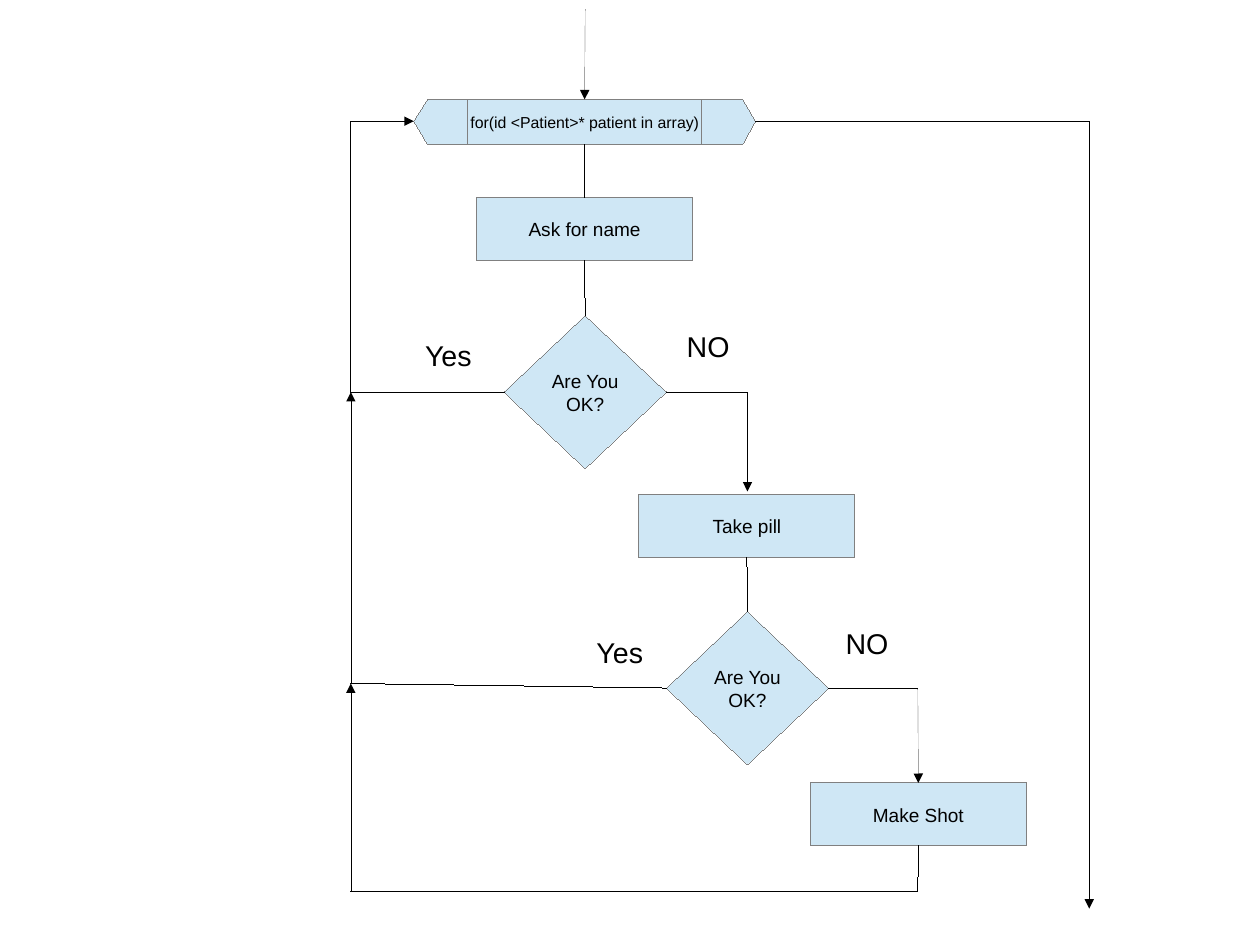
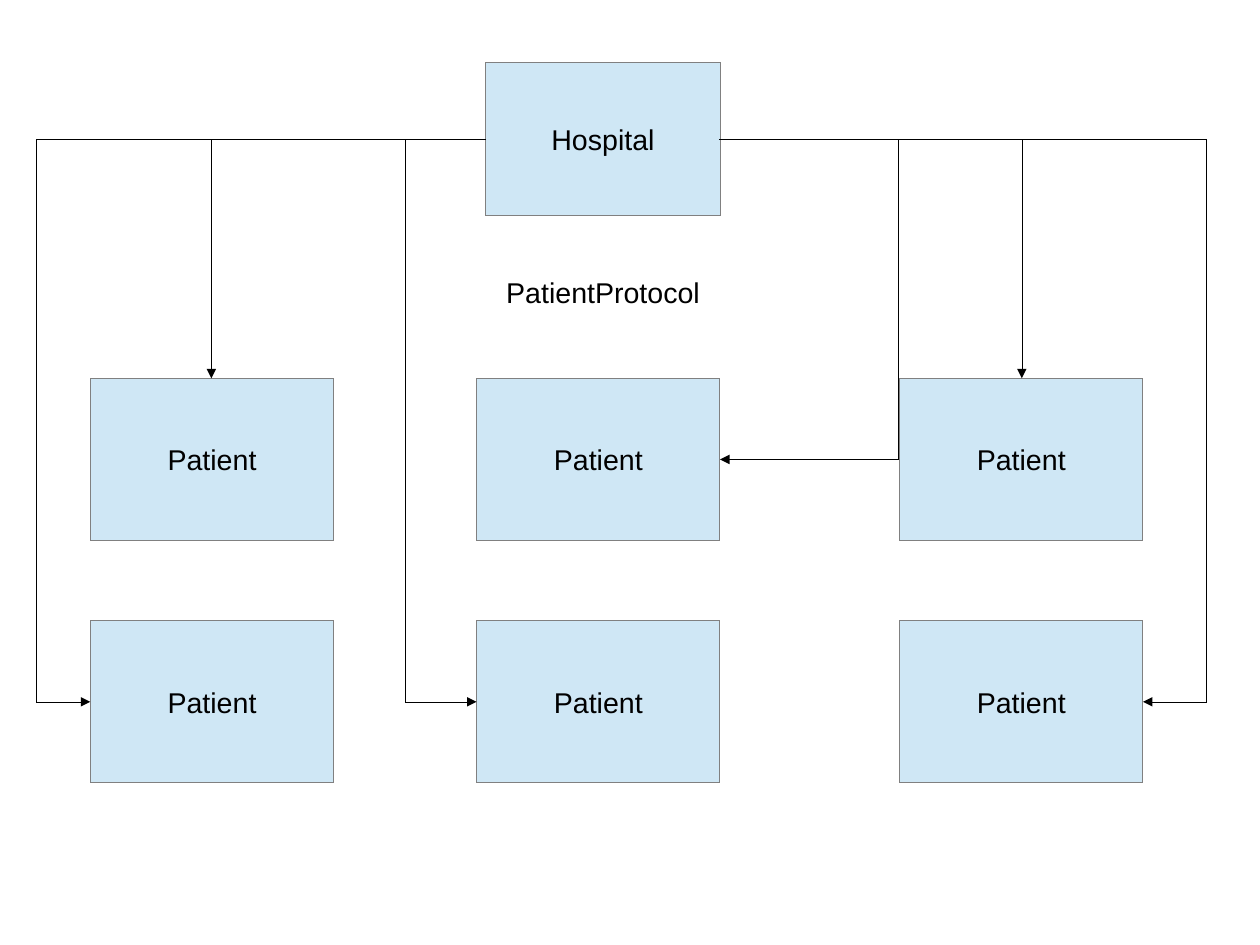
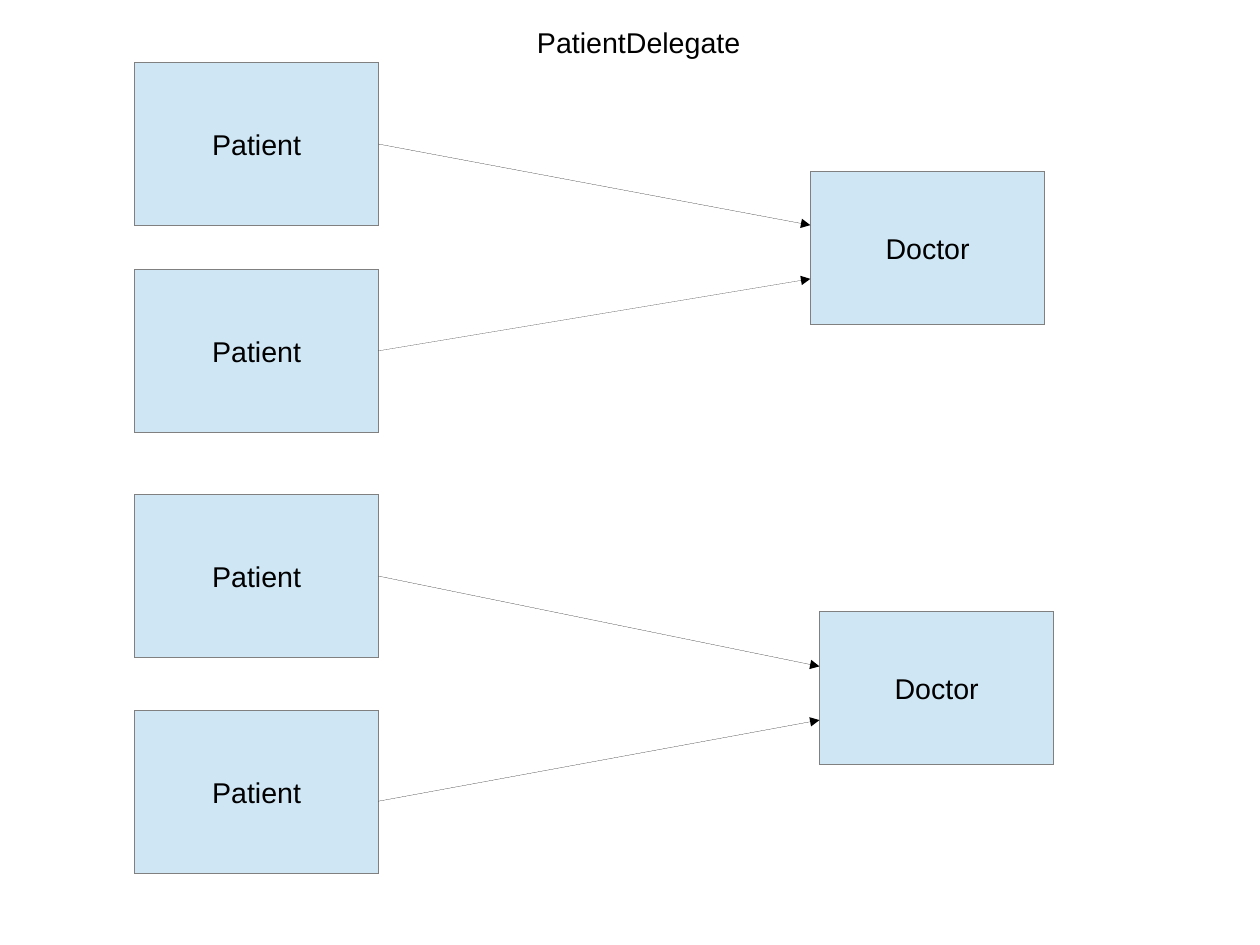
from itertools import pairwise, product

from pptx import Presentation
from pptx.dml.color import RGBColor
from pptx.enum.shapes import MSO_CONNECTOR as Link, MSO_SHAPE as Kind
from pptx.enum.text import MSO_ANCHOR as Anchor, MSO_AUTO_SIZE as Fit, PP_ALIGN as Align
from pptx.oxml.ns import qn
from pptx.oxml.xmlchemy import OxmlElement
from pptx.util import Cm, Inches, Pt

FILL, EDGE, INK = "CFE7F5", "808080", "000000"
TOP, LEFT, BOTTOM, RIGHT = range(4)
STEP = (1.89, 0.55)
TEST = (1.42, 1.34)
CARD = (2.13, 1.42)
HUB = (2.05, 1.34)


def paint(target, color):
    """Give a fill, line or font a solid colour."""
    if hasattr(target, "solid"):
        target.solid()
        target = target.fore_color
    else:
        target = target.color
    target.rgb = RGBColor.from_string(color)


def thin(shape, color):
    """Give a shape a hairline; a width of 0 must be written out."""
    paint(shape.line, color)
    edge = shape._element.spPr.find(qn("a:ln"))
    edge.set("w", "0")
    return edge


def style(shape):
    """Apply the shared pale fill and hairline edge."""
    shape.shadow.inherit = False
    paint(shape.fill, FILL)
    thin(shape, EDGE)


def write(shape, text, size, align, **frame):
    """Set text, its font and the format of its frame."""
    body = shape.text_frame
    body.text = text
    for key, value in frame.items():
        setattr(body, key, value)
    for para in body.paragraphs:
        para.alignment = align
        for run in para.runs:
            for key, value in {"name": "Arial", "size": Pt(size)}.items():
                setattr(run.font, key, value)
            paint(run.font, INK)


def node(slide, text, spot, size, points=18, kind=Kind.RECTANGLE, wrap=True):
    shape = slide.shapes.add_shape(kind, *map(Inches, spot + size))
    style(shape)
    write(shape, text, points, Align.CENTER,
          vertical_anchor=Anchor.MIDDLE, word_wrap=wrap)
    return shape


def label(slide, text, x, y, width):
    box = slide.shapes.add_textbox(*map(Inches, (x, y, width, 0.38)))
    write(box, text, 18, Align.LEFT, word_wrap=False,
          auto_size=Fit.SHAPE_TO_FIT_TEXT)


def wing(slide, inner, knee, tip):
    """Draw one pointed end of the loop block."""
    top, mid, low = 0.87, 1.06, 1.26
    dots = [(knee, top), (tip, mid), (knee, low), (inner, low)]
    pen = slide.shapes.build_freeform(Inches(inner), Inches(top), 1.0)
    pen.add_line_segments([(Inches(x), Inches(y)) for x, y in dots], close=True)
    style(pen.convert_to_shape())


def wire(slide, start, end, head, kind=Link.STRAIGHT):
    """Add a hairline connector between two points."""
    line = slide.shapes.add_connector(kind, *map(Inches, start + end))
    edge = thin(line, INK)
    if head:
        tip = OxmlElement("a:tailEnd")
        tip.set("type", "triangle")
        edge.append(tip)
    line._element.spPr.append(OxmlElement("a:effectLst"))
    return line


def route(slide, *stops, head=True):
    """Join stops in turn; a stop is a point or a (shape, side) pair."""
    legs = list(pairwise(stops))
    for turn, (start, end) in enumerate(legs, 1):
        ends = [stop if isinstance(stop[0], (int, float)) else (0, 0)
                for stop in (start, end)]
        line = wire(slide, *ends, head and turn == len(legs))
        for stop, join in ((start, line.begin_connect), (end, line.end_connect)):
            if not isinstance(stop[0], (int, float)):
                join(*stop)


def bend(slide, start, end, via=None):
    """Add an elbow arrow: one corner, or two corners at x = via."""
    line = wire(slide, start, end, True, Link.ELBOW)
    geom = line._element.spPr.find(qn("a:prstGeom"))
    if via is None:
        geom.set("prst", "bentConnector2")
        return
    share = (via - start[0]) / (end[0] - start[0])
    guide = OxmlElement("a:gd")
    guide.set("name", "adj1")
    guide.set("fmla", f"val {round(share * 100000)}")
    geom.find(qn("a:avLst")).append(guide)


def flow(slide):
    """Draw the flowchart of the patient loop."""
    loop = node(slide, "for(id <Patient>* patient in array)", (4.09, 0.87),
                (2.05, 0.39), 10, wrap=False)
    wing(slide, 6.14, 6.5, 6.61)
    wing(slide, 4.09, 3.74, 3.62)
    ask, pill, shot = [
        node(slide, text, spot, STEP, 12) for text, spot in (
            ("Ask for name", (4.17, 1.73)),
            ("Take pill", (5.59, 4.33)),
            ("Make Shot", (7.09, 6.85)))]
    first, second = [
        node(slide, "Are You\nOK?", spot, TEST, 12, Kind.DIAMOND, False)
        for spot in ((4.41, 2.76), (5.83, 5.35))]

    back, out = 3.07, 9.53
    route(slide, (5.12, 0.08), (loop, TOP))
    for upper, lower in ((loop, ask), (ask, first), (pill, second)):
        route(slide, (upper, BOTTOM), (lower, TOP), head=False)
    route(slide, (first, LEFT), (back, 3.43), (back, 1.06), (3.62, 1.06))
    route(slide, (first, RIGHT), (6.54, 3.43), (6.54, 4.3))
    route(slide, (second, LEFT), (back, 5.98), (back, 3.43))
    route(slide, (second, RIGHT), (8.03, 6.02), (shot, TOP))
    route(slide, (shot, BOTTOM), (8.03, 7.8), (back, 7.8), (back, 5.98))
    route(slide, (6.61, 1.06), (out, 1.06), (out, 7.72), (out, 7.95))

    for x, y in ((3.62, 2.91), (5.12, 5.51)):
        label(slide, "Yes", x, y, 0.62)
    for x, y in ((5.91, 2.83), (7.3, 5.43)):
        label(slide, "NO", x, y, 0.6)


def ward(slide):
    """Draw the hospital and its six patients."""
    for y, x in product((3.31, 5.43), (0.79, 4.17, 7.87)):
        node(slide, "Patient", (x, y), CARD)
    node(slide, "Hospital", (4.25, 0.55), HUB)
    west, east = (4.25, 1.22), (6.3, 1.22)
    bend(slide, west, (1.85, 3.31))
    bend(slide, east, (8.94, 3.31))
    bend(slide, west, (0.79, 6.14), 0.32)
    bend(slide, east, (10, 6.14), 10.55)
    bend(slide, (6.29, 1.22), (6.3, 4.02), 7.88)
    bend(slide, west, (4.17, 6.14), 3.54)
    label(slide, "PatientProtocol", 4.33, 2.36, 1.92)


def team(slide):
    """Draw patients reporting to their doctors."""
    cards = [node(slide, "Patient", (1.18, y), CARD)
             for y in (0.55, 2.36, 4.33, 6.22)]
    for x, y in ((7.09, 1.5), (7.17, 5.35)):
        node(slide, "Doctor", (x, y), HUB)
    starts = [(card, RIGHT) for card in cards[:3]] + [(3.31, 7.01)]
    ends = (7.09, 1.97), (7.09, 2.44), (7.17, 5.83), (7.17, 6.3)
    for start, end in zip(starts, ends):
        route(slide, start, end)
    label(slide, "PatientDelegate", 4.6, 0.17, 2)


def main():
    deck = Presentation()
    deck.slide_width, deck.slide_height = Cm(28), Cm(21)
    for draw in (flow, ward, team):
        draw(deck.slides.add_slide(deck.slide_layouts[6]))
    deck.save("out.pptx")


if __name__ == "__main__":
    main()
